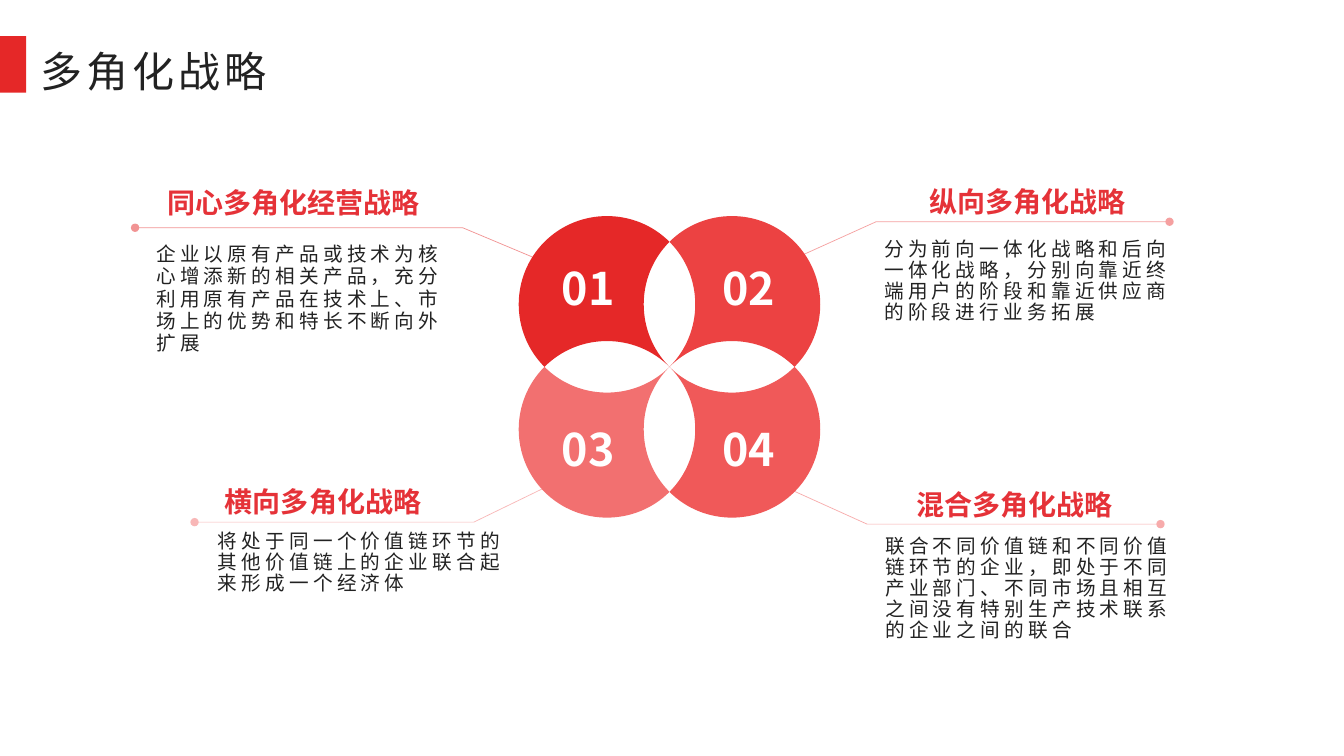
from dataclasses import dataclass

from lxml import etree
from pptx import Presentation
from pptx import util as u
from pptx.dml.color import RGBColor
from pptx.enum import shapes, text
from pptx.oxml import ns

FONT = "Noto Sans CJK SC"
COLORS = {
    "red": "E52828",
    "heading": "E53238",
    "ink": "222222",
    "white": "FFFFFF",
}
CENTER_X, CENTER_Y = 6.64, 3.64
HALF = 0.62
RADIUS = HALF * 2 ** 0.5
ARC_HANDLE = 0.55
CORNERS = ((1, 0), (0, 1), (-1, 0), (0, -1))
EDGES = ((0, 1), (-1, 0), (0, -1), (1, 0))

Point = tuple[float, float]
Box = tuple[float, float, float, float]


@dataclass
class Strategy:
    number: str
    color: str
    side: tuple[int, int]
    number_box: Box
    leader: list[Point]
    heading: str
    heading_box: Box
    body: str
    body_box: Box
    body_leading: float = 15


STRATEGIES = [
    Strategy(
        "01", "E52828", (-1, -1), (5.49, 2.6, 0.69, 0.59),
        [(5.4, 2.6), (4.59, 2.26), (1.34, 2.26)],
        "同心多角化经营战略", (1.51, 1.83, 2.81, 0.4),
        "企业以原有产品或技术为核心增添新的相关产品，充分利用原有产品在技术上、市场上的优势和特长不断向外扩展",
        (1.5, 2.36, 3.12, 1.22), 16,
    ),
    Strategy(
        "02", "EC4242", (1, -1), (7.08, 2.6, 0.69, 0.59),
        [(7.96, 2.53), (8.69, 2.2), (11.6, 2.2)],
        "纵向多角化战略", (8.82, 1.82, 2.75, 0.4),
        "分为前向一体化战略和后向一体化战略，分别向靠近终端用户的阶段和靠近供应商的阶段进行业务拓展",
        (8.72, 2.33, 3.12, 0.95),
    ),
    Strategy(
        "03", "F27070", (-1, 1), (5.49, 4.2, 0.69, 0.59),
        [(5.4, 4.84), (4.7, 5.18), (1.93, 5.18)],
        "横向多角化战略", (1.96, 4.79, 2.49, 0.4),
        "将处于同一个价值链环节的其他价值链上的企业联合起来形成一个经济体",
        (2.11, 5.22, 3.12, 0.74),
    ),
    Strategy(
        "04", "F05959", (1, 1), (7.08, 4.2, 0.69, 0.59),
        [(7.87, 4.87), (8.6, 5.2), (11.51, 5.2)],
        "混合多角化战略", (8.56, 4.82, 3, 0.4),
        "联合不同价值链和不同价值链环节的企业，即处于不同产业部门、不同市场且相互之间没有特别生产技术联系的企业之间的联合",
        (8.73, 5.27, 3.12, 1.16),
    ),
]


def place(shape, box: Box) -> None:
    shape.left, shape.top, shape.width, shape.height = map(u.Inches, box)


def write(shape, content: str, *, size: float, color: str, leading: float,
          bold: bool = False, centered: bool = False, tracking: float = 0) -> None:
    frame = shape.text_frame
    frame.word_wrap = True
    frame.auto_size = text.MSO_AUTO_SIZE.NONE
    frame.vertical_anchor = text.MSO_ANCHOR.TOP
    frame.margin_left = frame.margin_right = u.Inches(0.05)
    frame.margin_top = frame.margin_bottom = u.Inches(0.05)
    paragraph = frame.paragraphs[0]
    paragraph.alignment = text.PP_ALIGN.CENTER if centered else text.PP_ALIGN.LEFT
    paragraph.line_spacing = u.Pt(leading)
    paragraph.space_before = u.Pt(0)
    run = paragraph.add_run()
    run.text = content
    run.font.name = FONT
    run.font.size = u.Pt(size)
    run.font.bold = bold
    run.font.color.rgb = RGBColor.from_string(color)
    properties = run.font._element
    etree.SubElement(properties, ns.qn("a:ea"), typeface=FONT)
    if tracking:
        properties.set("spc", str(int(tracking * 100)))


def add_text(slide, content: str, box: Box, **style) -> None:
    write(slide.shapes.add_textbox(*map(u.Inches, box)), content, **style)


def fill_shape(shape, color: str) -> None:
    shape.shadow.inherit = False
    shape.fill.solid()
    shape.fill.fore_color.rgb = RGBColor.from_string(color)
    shape.line.fill.background()


def add_outline(slide, points: list[Point], closed: bool):
    corners = [(u.Inches(x), u.Inches(y)) for x, y in points]
    builder = slide.shapes.build_freeform(*corners[0], scale=1.0)
    builder.add_line_segments(corners[1:], close=closed)
    return builder.convert_to_shape()


def arc_handles(start: Point, end: Point, inward: bool) -> list[Point]:
    if inward:
        return [(x * (1 - ARC_HANDLE), y * (1 - ARC_HANDLE)) for x, y in (start, end)]
    return [(x + ARC_HANDLE * other_x, y + ARC_HANDLE * other_y)
            for (x, y), (other_x, other_y) in ((start, end), (end, start))]


def add_petal(slide, strategy: Strategy) -> None:
    side_x, side_y = strategy.side
    middle_x, middle_y = CENTER_X + side_x * HALF, CENTER_Y + side_y * HALF
    ring = CORNERS + CORNERS[:1]
    points = [(middle_x + x * RADIUS, middle_y + y * RADIUS) for x, y in ring]
    petal = add_outline(slide, points, closed=True)
    segments = list(petal._element.iter(ns.qn("a:lnTo")))
    for segment, start, end, (edge_x, edge_y) in zip(segments, ring, ring[1:], EDGES):
        inward = edge_x * side_x + edge_y * side_y < 0
        segment.tag = ns.qn("a:cubicBezTo")
        for index, (x, y) in enumerate(arc_handles(start, end, inward)):
            handle = etree.Element(ns.qn("a:pt"))
            handle.set("x", str(u.Inches((x + 1) * RADIUS)))
            handle.set("y", str(u.Inches((y + 1) * RADIUS)))
            segment.insert(index, handle)
    petal.rotation = 45
    fill_shape(petal, strategy.color)


def add_leader(slide, strategy: Strategy) -> None:
    leader = add_outline(slide, strategy.leader, closed=False)
    leader.shadow.inherit = False
    leader.fill.background()
    leader.line.width = u.Pt(0.5)
    leader.line.color.rgb = RGBColor.from_string(strategy.color)
    line = leader.line._get_or_add_ln()
    color = line.find(".//" + ns.qn("a:srgbClr"))
    etree.SubElement(color, ns.qn("a:alpha"), val="50000")
    etree.SubElement(line, ns.qn("a:tailEnd"), type="oval")


def add_strategy(slide, strategy: Strategy) -> None:
    add_leader(slide, strategy)
    add_petal(slide, strategy)
    add_text(slide, strategy.number, strategy.number_box, size=32,
             color=COLORS["white"], leading=34, bold=True, centered=True)
    add_text(slide, strategy.heading, strategy.heading_box, size=20,
             color=COLORS["heading"], leading=21.5, bold=True, centered=True)
    add_text(slide, strategy.body, strategy.body_box, size=14,
             color=COLORS["ink"], leading=strategy.body_leading, tracking=3)


def main() -> None:
    presentation = Presentation()
    presentation.slide_width = u.Inches(13.33)
    presentation.slide_height = u.Inches(7.5)
    slide = presentation.slides.add_slide(presentation.slide_layouts[5])

    title = slide.shapes.title
    place(title, (0.35, 0.3, 6.3, 0.66))
    write(title, "多角化战略", size=30, color=COLORS["ink"], leading=43, tracking=3)
    accent_box = map(u.Inches, (0, 0.36, 0.26, 0.56))
    accent = slide.shapes.add_shape(shapes.MSO_SHAPE.RECTANGLE, *accent_box)
    fill_shape(accent, COLORS["red"])

    for strategy in STRATEGIES:
        add_strategy(slide, strategy)
    presentation.save("out.pptx")


if __name__ == "__main__":
    main()
